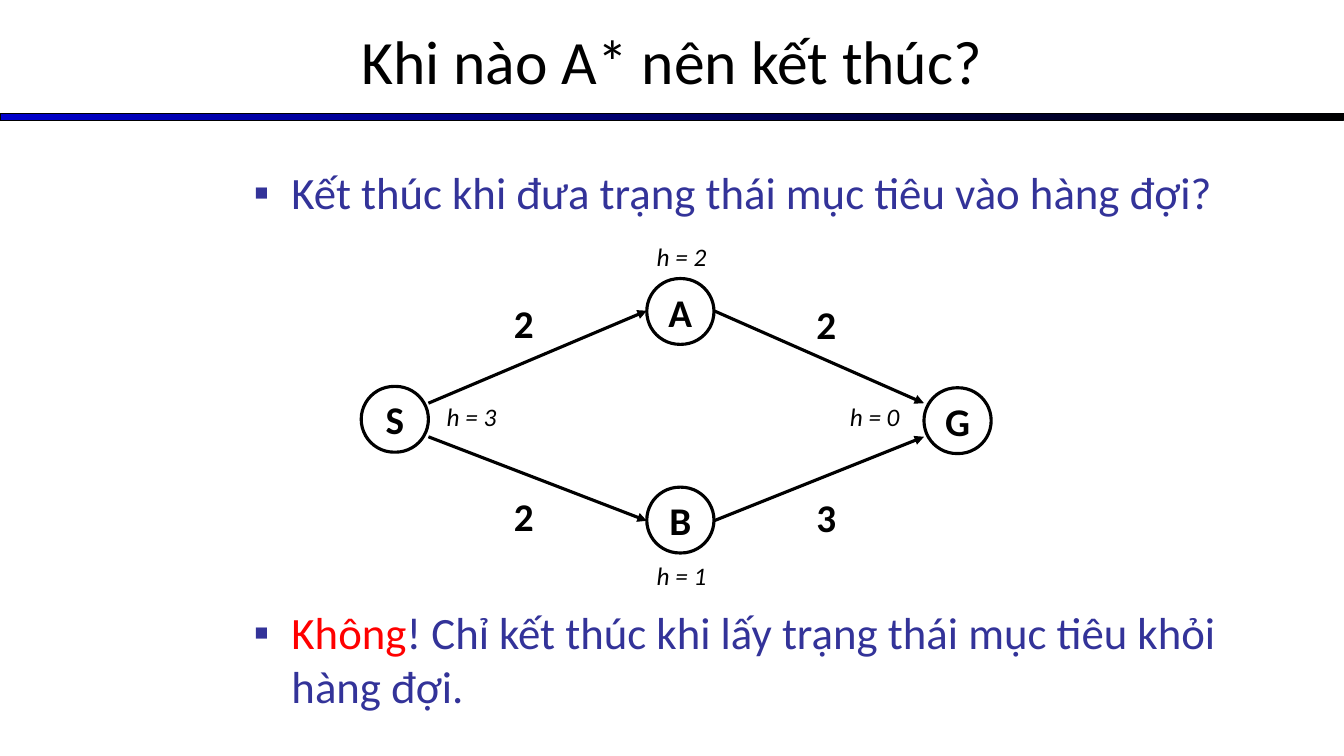
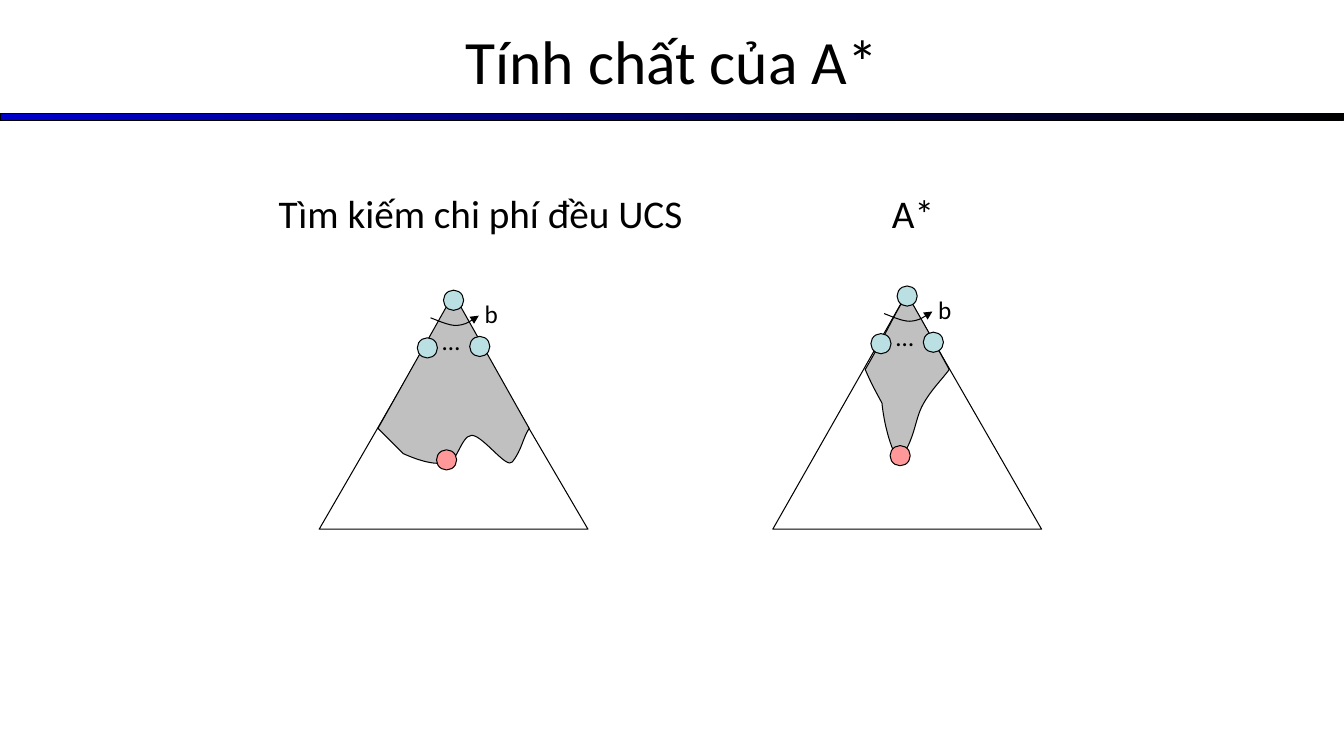
import dataclasses

import pptx
import pptx.dml.color
import pptx.enum.shapes
import pptx.enum.text
import pptx.oxml.ns
import pptx.util
from lxml import etree

Pt = pptx.util.Pt
qn = pptx.oxml.ns.qn
rgb = pptx.dml.color.RGBColor.from_string
SHAPE = pptx.enum.shapes.MSO_SHAPE


@dataclasses.dataclass(frozen=True)
class Theme:
    font: str = "Calibri"
    ink: str = "000000"
    band: str = "0000CC"
    body: str = "333399"
    alert: str = "FF0000"
    explored: str = "C0C0C0"
    tree_node: str = "BBE0E3"
    goal: str = "FF9999"
    title_size: int = 44
    body_size: int = 32
    label_size: int = 28
    note_size: int = 18
    thin: float = 0.75
    thick: float = 2.25


theme = Theme()


def add_label(slide, text, left, top, width, size, bold=False, italic=False):
    box = slide.shapes.add_textbox(Pt(left), Pt(top), Pt(width), Pt(size * 1.2 + 7.2))
    box.text_frame.word_wrap = True
    paragraph = box.text_frame.paragraphs[0]
    paragraph.text = text
    font = paragraph.font
    font.name, font.size, font.bold, font.italic = theme.font, Pt(size), bold, italic
    font.color.rgb = rgb(theme.ink)


def add_outline(slide, start, segments, closed=True, fill=None):
    """Draw segments: one point is a straight line, three points a Bézier curve."""
    builder = slide.shapes.build_freeform(Pt(start[0]), Pt(start[1]), scale=1.0)
    builder.add_line_segments(
        [(Pt(x), Pt(y)) for segment in segments for x, y in segment], close=closed)
    outline = builder.convert_to_shape()
    steps = iter(outline._element.xpath(".//a:lnTo"))
    for segment in segments:
        first, *others = [next(steps) for _ in segment]
        if others:
            curve = etree.Element(qn("a:cubicBezTo"))
            first.addprevious(curve)
            for step in (first, *others):
                curve.append(step[0])
                step.getparent().remove(step)
    outline.shadow.inherit = False
    if fill:
        outline.fill.solid()
        outline.fill.fore_color.rgb = rgb(fill)
    else:
        outline.fill.background()
    outline.line.color.rgb = rgb(theme.ink)
    outline.line.width = Pt(theme.thin)
    return outline


deck = pptx.Presentation()
deck.slide_width, deck.slide_height = Pt(960), Pt(540)

# Shared title place on the master
master_title = deck.slide_master.placeholders[0]
master_title.left, master_title.top = Pt(0), Pt(-2)
master_title.width, master_title.height = Pt(960), Pt(90)

# Slides and their titles
stop_slide = deck.slides.add_slide(deck.slide_layouts[1])
properties_slide = deck.slides.add_slide(deck.slide_layouts[5])
for slide, heading in [
    (stop_slide, "Khi nào A* nên kết thúc?"),
    (properties_slide, "Tính chất của A*"),
]:
    title = slide.shapes.title
    title.text_frame.text = heading
    title_font = title.text_frame.paragraphs[0].font
    title_font.name, title_font.size = theme.font, Pt(theme.title_size)
    title_font.color.rgb = rgb(theme.ink)

# Shared gradient band, moved to the master
band = stop_slide.shapes.add_shape(SHAPE.RECTANGLE, Pt(0), Pt(81), Pt(960), Pt(5))
band.shadow.inherit = False
band.fill.gradient()
band.fill.gradient_angle = 0
for stop, colour in zip(band.fill.gradient_stops, (theme.band, theme.ink)):
    stop.color.rgb = rgb(colour)
band.line.color.rgb = rgb(theme.ink)
band.line.width = Pt(theme.thin)
band._element.xpath("./p:nvSpPr/p:cNvPr")[0].set("id", "20")
deck.slide_master.shapes._spTree.insert(2, band._element)

arrows = []

# Slide 1: question and answer, with room for the graph between them
answer = stop_slide.placeholders[1]
answer.left, answer.top, answer.width, answer.height = Pt(174), Pt(114), Pt(766), Pt(323)
answer.text_frame.auto_size = pptx.enum.text.MSO_AUTO_SIZE.NONE
for number, (gap, runs) in enumerate([
    (0, [("Kết thúc khi đưa trạng thái mục tiêu vào hàng đợi?", theme.body)]),
    (276, [("Không", theme.alert),
           ("! Chỉ kết thúc khi lấy trạng thái mục tiêu khỏi hàng đợi.", theme.body)]),
]):
    frame = answer.text_frame
    paragraph = frame.add_paragraph() if number else frame.paragraphs[0]
    settings = paragraph._p.get_or_add_pPr()
    settings.set("marL", str(Pt(27)))
    settings.set("indent", str(Pt(-27)))
    bullet_colour = etree.SubElement(settings, qn("a:buClr"))
    etree.SubElement(bullet_colour, qn("a:srgbClr"), val=theme.body)
    etree.SubElement(settings, qn("a:buChar"), char="▪")
    paragraph.space_before = Pt(gap)
    paragraph.font.name, paragraph.font.size = theme.font, Pt(theme.body_size)
    for words, colour in runs:
        run = paragraph.add_run()
        run.text = words
        run.font.color.rgb = rgb(colour)

# Graph states
for state, left, top in [
    ("S", 258, 276), ("B", 462, 348), ("A", 462, 199), ("G", 660, 277),
]:
    node = stop_slide.shapes.add_shape(
        SHAPE.ROUNDED_RECTANGLE, Pt(left), Pt(top), Pt(48), Pt(47))
    node.adjustments[0] = 0.5
    node.shadow.inherit = False
    node.fill.background()
    node.line.color.rgb = rgb(theme.ink)
    node.line.width = Pt(theme.thick)
    node.text_frame.word_wrap = False
    node.text_frame.vertical_anchor = pptx.enum.text.MSO_ANCHOR.MIDDLE
    paragraph = node.text_frame.paragraphs[0]
    paragraph.text = state
    paragraph.alignment = pptx.enum.text.PP_ALIGN.CENTER
    node_font = paragraph.font
    node_font.name, node_font.size, node_font.bold = theme.font, Pt(theme.label_size), True
    node_font.color.rgb = rgb(theme.ink)

# Graph edges
for x1, y1, x2, y2 in [
    (510, 222, 660, 288), (306, 288, 462, 222),
    (306, 312, 462, 372), (510, 372, 660, 312),
]:
    edge = stop_slide.shapes.add_connector(
        pptx.enum.shapes.MSO_CONNECTOR.STRAIGHT, Pt(x1), Pt(y1), Pt(x2), Pt(y2))
    edge.line.color.rgb = rgb(theme.ink)
    edge.line.width = Pt(theme.thick)
    etree.SubElement(edge._element.spPr, qn("a:effectLst"))
    arrows.append(edge)

# Edge costs and heuristic values
for cost, left, top in [("2", 360, 210), ("3", 576, 349), ("2", 576, 211), ("2", 360, 348)]:
    add_label(stop_slide, cost, left, top, 36, theme.label_size, bold=True)
for estimate, left, top in [(1, 462, 397), (2, 462, 169), (0, 600, 283), (3, 312, 283)]:
    add_label(stop_slide, f"h = {estimate}", left, top, 72, theme.note_size, italic=True)

# Slide 2: explored part of each search tree
ucs_region = [
    [(270, 306)],
    [(288, 324)],
    [(288, 324), (309, 334), (318, 330)],
    [(326, 334), (329, 311), (337, 311)],
    [(345, 311), (362, 335.5), (366, 330)],
    [(373, 321), (373, 314), (378, 306)],
    [(324, 210)],
]
a_star_region = [
    [(637, 227.5), (636.5, 232), (618, 264)],
    [(623.5, 276.5), (625, 278.5), (630, 288)],
    [(630, 288), (632, 312.5), (642, 330)],
    [(654.5, 312), (653, 300), (659.5, 288.5)],
    [(665.5, 278), (672.5, 271.5), (678, 264)],
    [(660, 231), (655, 223), (648, 210)],
]
for root_x, root_y, region in [(324, 214.5, ucs_region), (648, 211.5, a_star_region)]:
    # Whole tree and explored region
    add_outline(properties_slide, (root_x - 96, 378),
                [[(root_x + 96, 378)], [(root_x - 0.5, root_y - 1.5)]])
    add_outline(properties_slide, (root_x, 210), region, fill=theme.explored)

    # Branching arc
    arc = [[(-10, 15), (-3.5, 18), (2, 18)], [(8, 17.5), (13, 14.5), (18, 11)]]
    arrows.append(add_outline(
        properties_slide, (root_x - 16.5, root_y + 12.5),
        [[(root_x + dx, root_y + dy) for dx, dy in curve] for curve in arc],
        closed=False))
    add_label(properties_slide, "…", root_x - 15, root_y + 14.5, 21.6, theme.note_size)
    add_label(properties_slide, "b", root_x + 15, root_y - 5, 24, theme.note_size)

    # Children, goal and root
    for dx, dy, colour in [
        (-18.7, 34, theme.tree_node), (18.7, 33, theme.tree_node),
        (-5, 114, theme.goal), (0, 0, theme.tree_node),
    ]:
        dot = properties_slide.shapes.add_shape(
            SHAPE.OVAL, Pt(root_x + dx - 7.2), Pt(root_y + dy - 7.2), Pt(14.4), Pt(14.4))
        dot.shadow.inherit = False
        dot.fill.solid()
        dot.fill.fore_color.rgb = rgb(colour)
        dot.line.color.rgb = rgb(theme.ink)
        dot.line.width = Pt(theme.thin)

# Tree captions
for caption, left, width in [("Tìm kiếm chi phí đều UCS", 192, 306), ("A*", 630, 48)]:
    add_label(properties_slide, caption, left, 132, width, theme.label_size)

# Arrowheads
for arrow in arrows:
    etree.SubElement(arrow._element.xpath(".//a:ln")[0], qn("a:tailEnd"), type="triangle")

deck.save("out.pptx")
